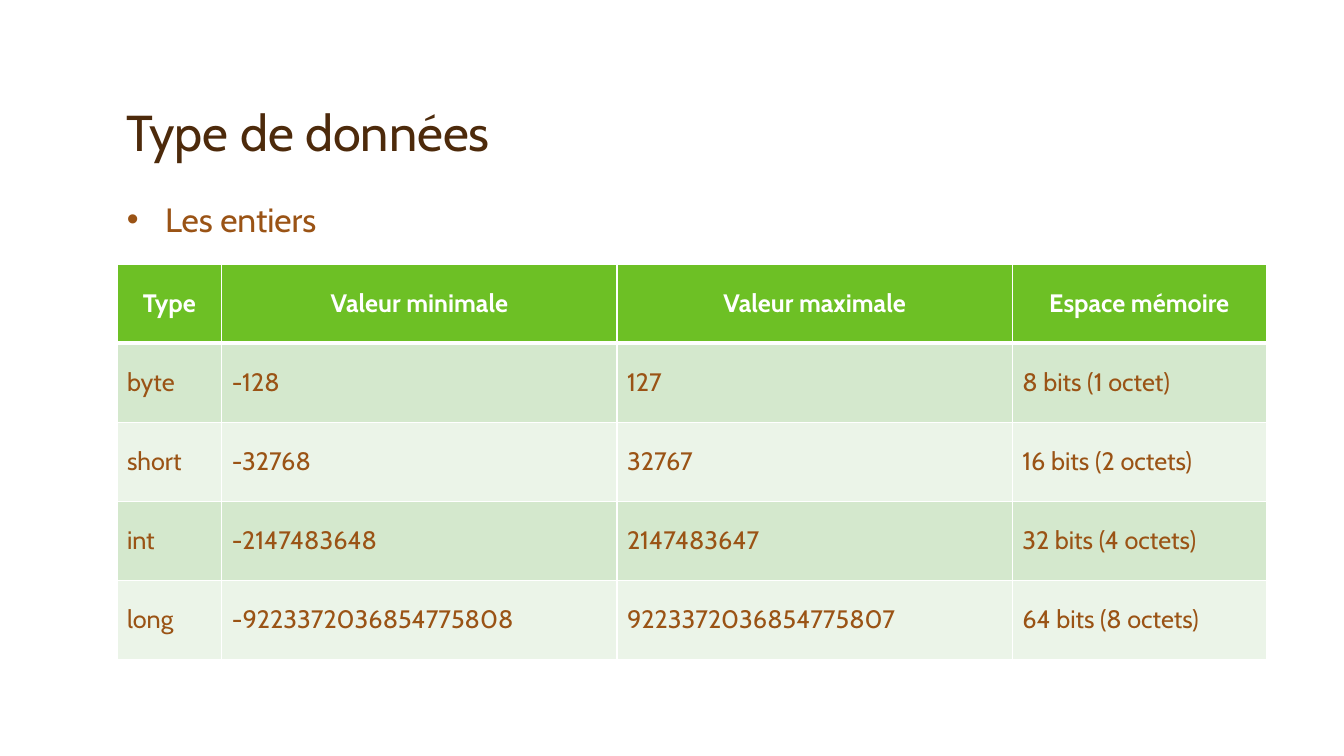
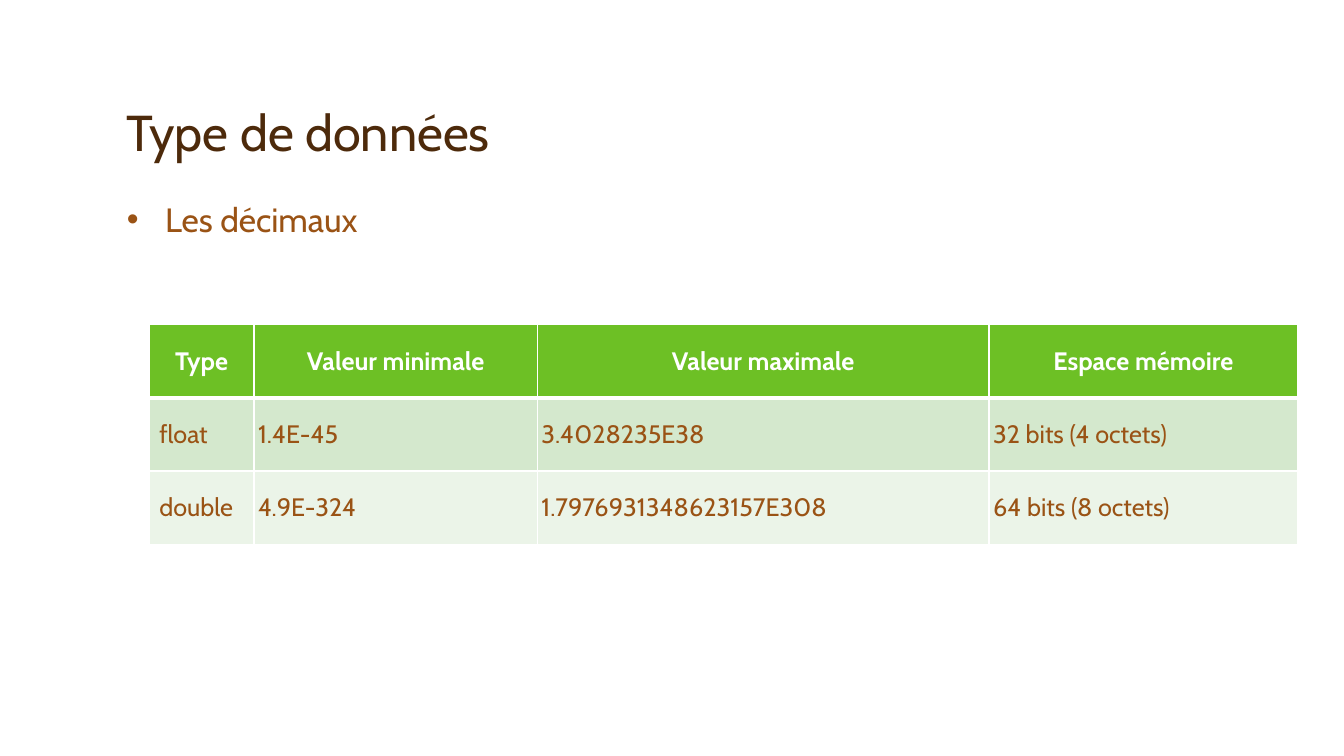
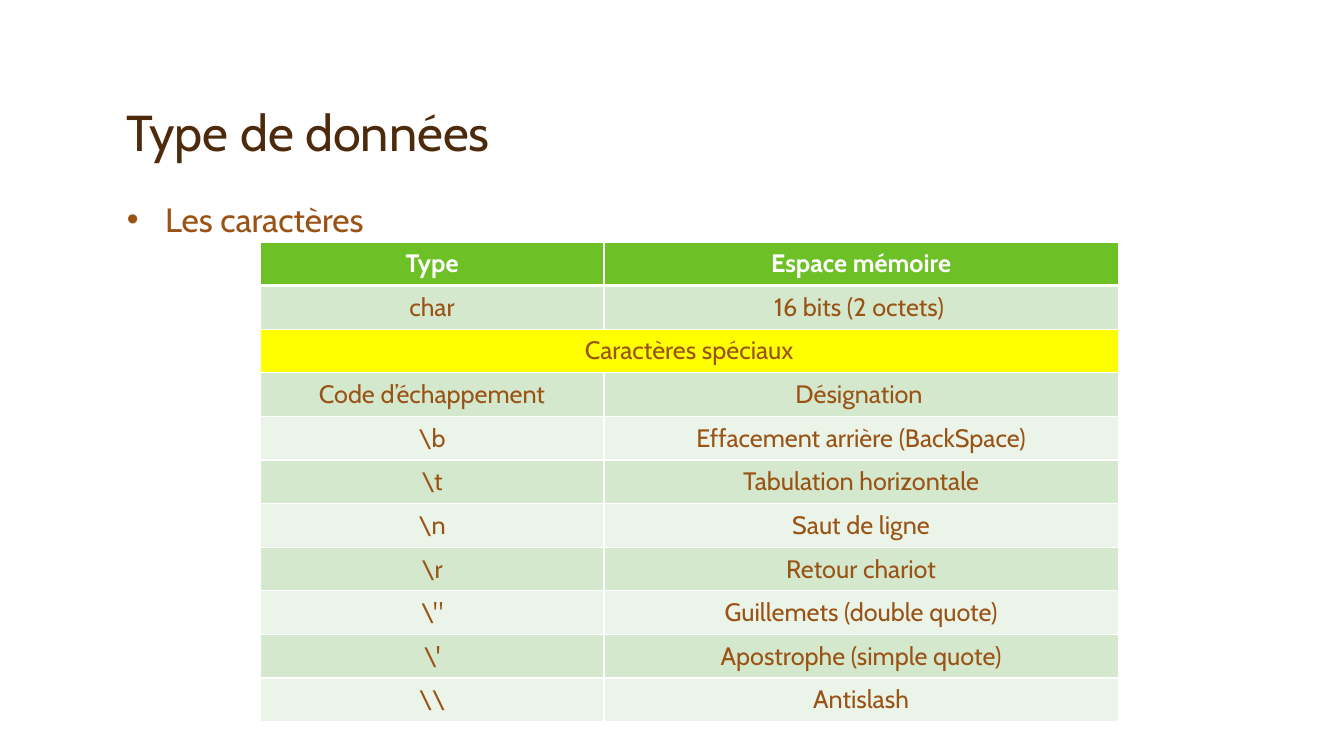
from dataclasses import dataclass

from lxml import etree
from pptx import Presentation
from pptx.dml.color import RGBColor
from pptx.enum.text import MSO_ANCHOR, PP_ALIGN
from pptx.oxml.ns import qn
from pptx.util import Inches, Pt

LEFT, CENTER = PP_ALIGN.LEFT, PP_ALIGN.CENTER
TOP, MIDDLE, BOTTOM = MSO_ANCHOR.TOP, MSO_ANCHOR.MIDDLE, MSO_ANCHOR.BOTTOM


@dataclass(frozen=True)
class Theme:
    font: str = "Cabin"
    title_color: str = "4D2A0B"
    text_color: str = "9A5315"
    white: str = "FFFFFF"
    header_fill: str = "6DC025"
    odd_fill: str = "D4E8CD"
    even_fill: str = "EBF4E8"
    section_fill: str = "FFFF00"
    title_size: int = 36
    topic_size: int = 24
    cell_size: int = 18
    grid_line: int = 1
    header_line: int = 3


THEME = Theme()

INTEGERS = [
    ["Type", "Valeur minimale", "Valeur maximale", "Espace mémoire"],
    ["byte", "-128", "127", "8 bits (1 octet)"],
    ["short", "-32768", "32767", "16 bits (2 octets)"],
    ["int", "-2147483648", "2147483647", "32 bits (4 octets)"],
    ["long", "-9223372036854775808", "9223372036854775807", "64 bits (8 octets)"],
]
DECIMALS = [
    ["Type", "Valeur minimale", "Valeur maximale", "Espace mémoire"],
    ["float", "1.4E-45", "3.4028235E38", "32 bits (4 octets)"],
    ["double", "4.9E-324", "1.7976931348623157E308", "64 bits (8 octets)"],
]
CHARACTERS = [
    ["Type", "Espace mémoire"],
    ["char", "16 bits (2 octets)"],
    ["Caractères spéciaux"],
    ["Code d’échappement", "Désignation"],
    [r"\b", "Effacement arrière (BackSpace)"],
    [r"\t", "Tabulation horizontale"],
    [r"\n", "Saut de ligne"],
    [r"\r", "Retour chariot"],
    [r"\"", "Guillemets (double quote)"],
    [r"\'", "Apostrophe (simple quote)"],
    [r"\\", "Antislash"],
]


def write_text(frame, text, *, size, color=THEME.text_color, bold=False,
               align=LEFT, line_spacing=None):
    paragraph = frame.paragraphs[0]
    paragraph.alignment = align
    paragraph.line_spacing = line_spacing
    run = paragraph.add_run()
    run.text = text
    run.font.name = THEME.font
    run.font.size = Pt(size)
    run.font.bold = bold
    run.font.color.rgb = RGBColor.from_string(color)
    return paragraph


def add_text_box(slide, left, top, width, height, text, anchor=TOP, **text_format):
    box = slide.shapes.add_textbox(*map(Inches, (left, top, width, height)))
    frame = box.text_frame
    frame.word_wrap = True
    frame.vertical_anchor = anchor
    return write_text(frame, text, **text_format)


def add_bullet(paragraph, indent):
    properties = paragraph._p.get_or_add_pPr()
    properties.set("marL", str(Inches(indent)))
    properties.set("indent", str(-Inches(indent)))
    etree.SubElement(properties, qn("a:buFont")).set("typeface", "Arial")
    etree.SubElement(properties, qn("a:buChar")).set("char", "•")


def add_topic_slide(deck, topic):
    slide = deck.slides.add_slide(deck.slide_layouts[6])
    add_text_box(slide, 1.16, 0.33, 11, 1.33, "Type de données", BOTTOM,
                 size=THEME.title_size, color=THEME.title_color, line_spacing=0.9)
    topic_line = add_text_box(slide, 1.16, 1.92, 11, 4.62, topic,
                              size=THEME.topic_size)
    add_bullet(topic_line, 0.38)
    return slide


def set_borders(cell, top, bottom):
    """Draw white borders; top and bottom are widths in points."""
    properties = cell._tc.get_or_add_tcPr()
    widths = {"a:lnL": THEME.grid_line, "a:lnR": THEME.grid_line,
              "a:lnT": top, "a:lnB": bottom}
    for position, (tag, width) in enumerate(widths.items()):
        line = etree.Element(qn(tag), w=str(Pt(width)))
        fill = etree.SubElement(line, qn("a:solidFill"))
        etree.SubElement(fill, qn("a:srgbClr")).set("val", THEME.white)
        properties.insert(position, line)


def row_fill(row, is_section):
    if row == 0:
        return THEME.header_fill
    if is_section:
        return THEME.section_fill
    return THEME.odd_fill if row % 2 else THEME.even_fill


def add_type_table(slide, left, top, height, column_widths, rows, *,
                   body_align=LEFT, tight_rows=()):
    """A one-value row spans the table; tight_rows have narrow side margins after column 0."""
    table = slide.shapes.add_table(
        len(rows), len(column_widths), Inches(left), Inches(top),
        Inches(sum(column_widths)), Inches(height)).table
    for column, width in zip(table.columns, column_widths):
        column.width = Inches(width)
    for r, values in enumerate(rows):
        is_header = r == 0
        is_section = len(values) == 1
        if is_section:
            table.cell(r, 0).merge(table.cell(r, len(column_widths) - 1))
        for c in range(len(column_widths)):
            cell = table.cell(r, c)
            cell.fill.solid()
            cell.fill.fore_color.rgb = RGBColor.from_string(row_fill(r, is_section))
            set_borders(cell,
                        top=THEME.header_line if r == 1 else THEME.grid_line,
                        bottom=THEME.header_line if is_header else THEME.grid_line)
            cell.vertical_anchor = MIDDLE
            if r in tight_rows and c > 0:
                cell.margin_left, cell.margin_right = Inches(0.04), Inches(0.08)
            if c < len(values):
                write_text(cell.text_frame, values[c], size=THEME.cell_size,
                           color=THEME.white if is_header else THEME.text_color,
                           bold=is_header,
                           align=CENTER if is_header else body_align)


def main():
    deck = Presentation()
    deck.slide_width, deck.slide_height = Inches(13.33), Inches(7.5)

    integers = add_topic_slide(deck, "Les entiers")
    add_type_table(integers, 1.16, 2.62, 3.92, [1.04, 3.92, 3.92, 2.52], INTEGERS)

    decimals = add_topic_slide(deck, "Les décimaux")
    add_type_table(decimals, 1.48, 3.22, 2.18, [1.04, 2.81, 4.48, 3.06], DECIMALS,
                   tight_rows=(1, 2))

    characters = add_topic_slide(deck, "Les caractères")
    add_type_table(characters, 2.58, 2.4, 4.76, [3.41, 5.1], CHARACTERS,
                   body_align=CENTER, tight_rows=(1, 3))

    deck.save("out.pptx")


if __name__ == "__main__":
    main()
